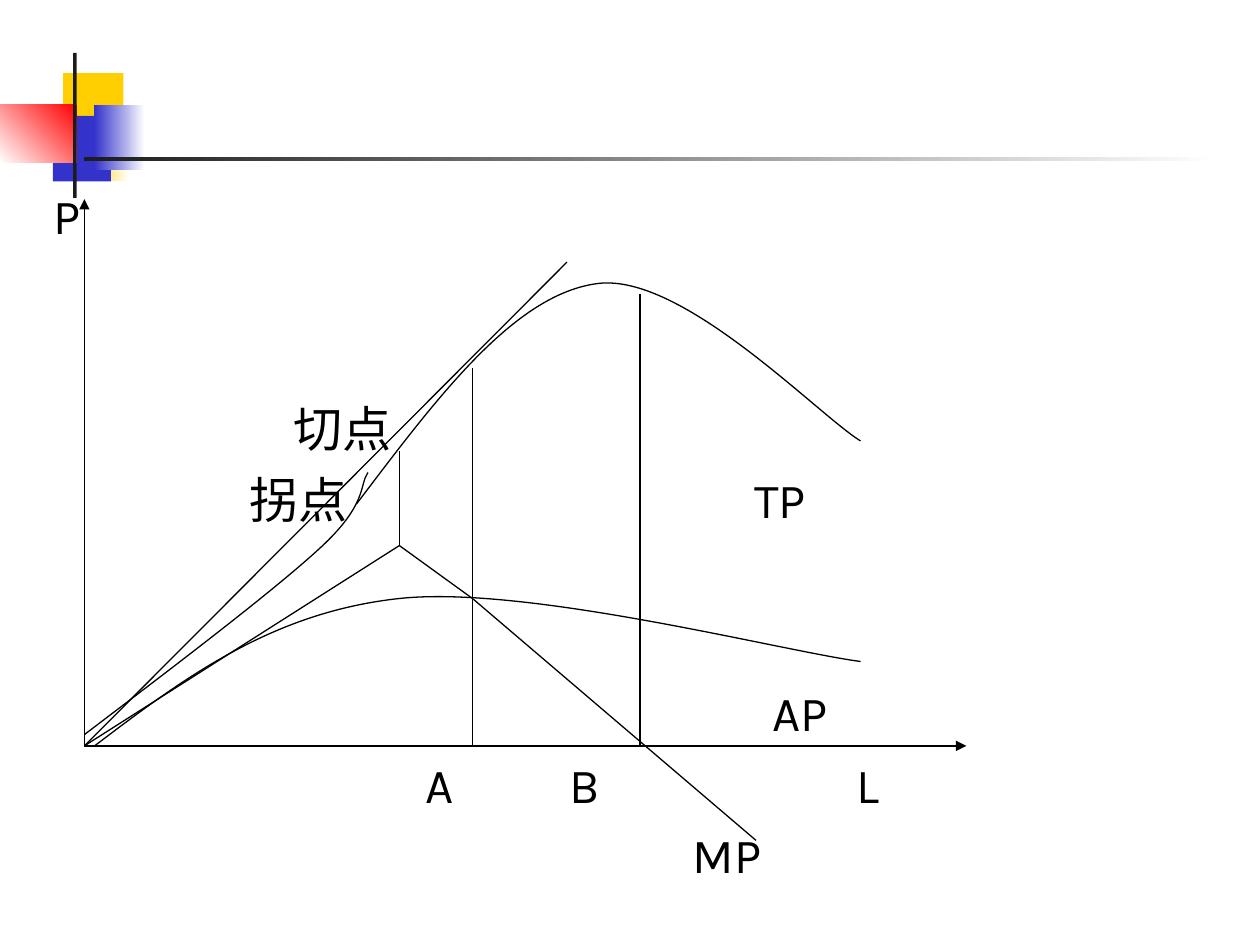
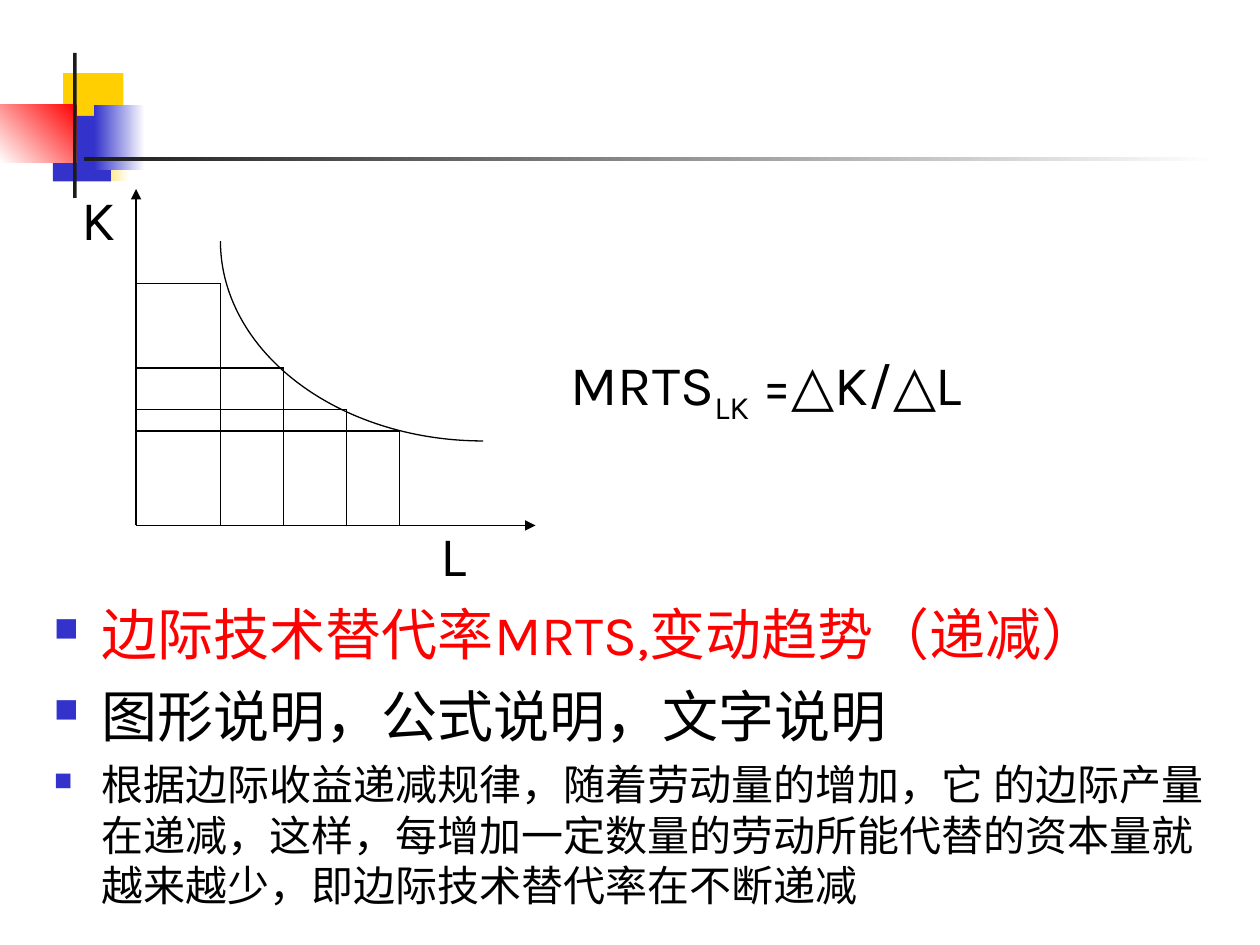
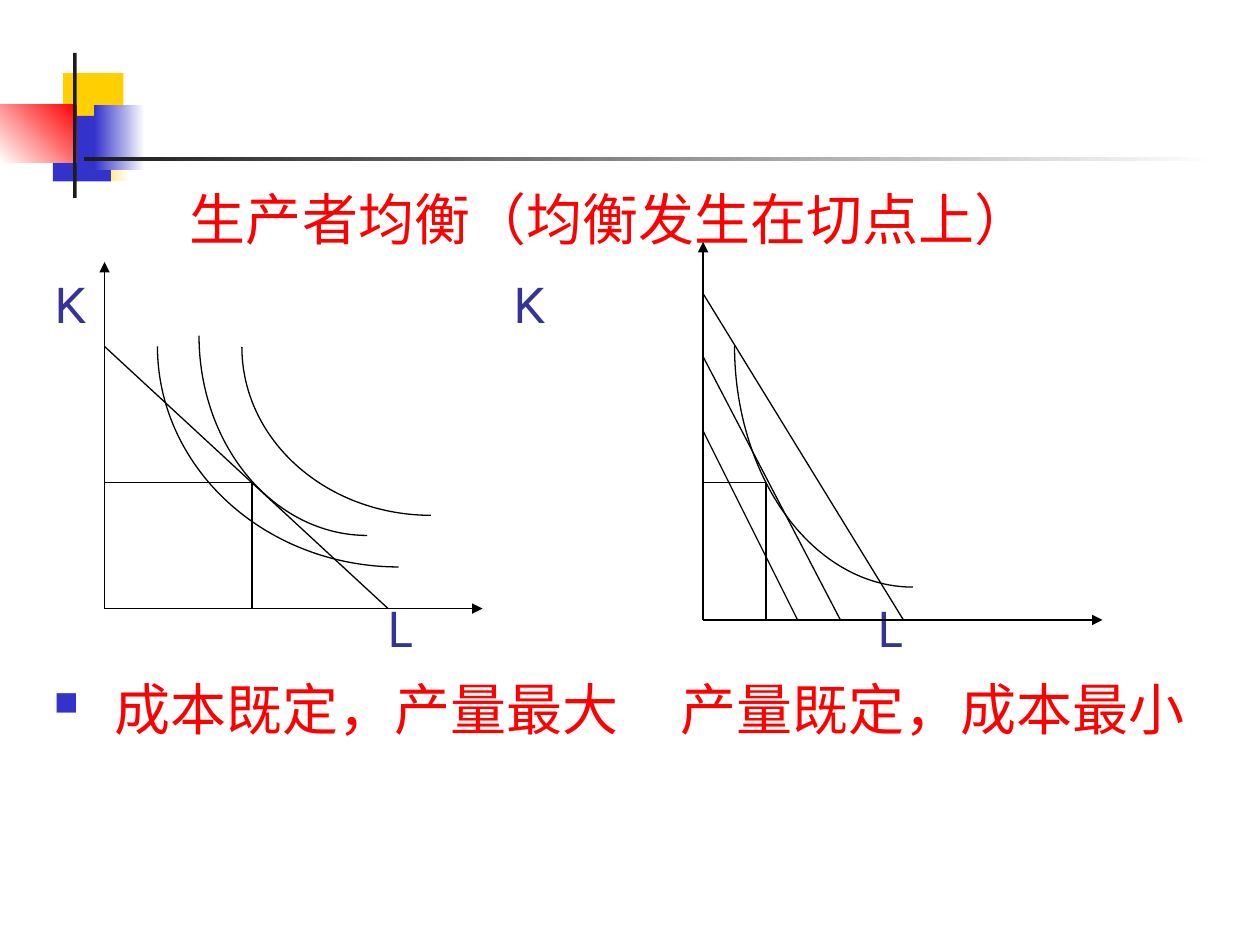
import pptx
import pptx.dml.color
import pptx.enum.shapes
import pptx.oxml.ns
import pptx.util
from lxml import etree

Inches = pptx.util.Inches
Pt = pptx.util.Pt
qn = pptx.oxml.ns.qn
SHAPE = pptx.enum.shapes.MSO_SHAPE

COLORS = {
    "black": "000000",
    "white": "FFFFFF",
    "ink": "1C1C1C",
    "red": "FF0000",
    "blue": "3333CC",
    "navy": "333399",
    "yellow": "FFCF01",
}
FONT = "Karla"
LINE_WIDTH = 0.75
ASCENT = 0.985
INSET_X, INSET_Y = 0.1, 0.05


def rgb(name):
    return pptx.dml.color.RGBColor.from_string(COLORS[name])


def add_band(slide, box, start, end=None, angle=180):
    sp = slide.shapes.add_shape(SHAPE.RECTANGLE, *map(Inches, box))
    sp.shadow.inherit = False
    sp.line.fill.background()
    if end is None:
        sp.fill.solid()
        sp.fill.fore_color.rgb = rgb(start)
    else:
        sp.fill.gradient()
        sp.fill.gradient_angle = angle
        for stop, color in zip(sp.fill.gradient_stops, (start, end)):
            stop.color.rgb = rgb(color)
    return sp


def decorate_layout(layout, slide):
    for ph in list(layout.placeholders):
        layout.shapes.element.remove(ph.element)
    bands = [
        add_band(slide, (0.5, 0.58, 0.48, 0.52), "yellow"),
        add_band(slide, (0.67, 0.92, 0.36, 0.52), "white", "yellow"),
        add_band(slide, (0.42, 0.92, 0.46, 0.52), "blue"),
        add_band(slide, (0.75, 0.83, 0.4, 0.52), "white", "blue"),
        add_band(slide, (0, 0.83, 0.61, 0.46), "red", "white", 225),
        add_band(slide, (0.58, 0.42, 0.03, 1.15), "ink"),
        add_band(slide, (0.67, 1.25, 9, 0.03), "white", "ink"),
    ]
    for sp in bands:
        layout.shapes.element.append(sp.element)


def style_line(sp):
    sp.line.width = Pt(LINE_WIDTH)
    sp.line.color.rgb = rgb("black")


def add_line(slide, start, end, arrow=False):
    c = slide.shapes.add_connector(
        pptx.enum.shapes.MSO_CONNECTOR.STRAIGHT, *map(Inches, start + end))
    style_line(c)
    if arrow:
        etree.SubElement(c.line._get_or_add_ln(), qn("a:tailEnd"), type="triangle")
    etree.SubElement(c.element.spPr, qn("a:effectLst"))


def add_axes(slide, origin, x_end, y_end):
    x, y = origin
    add_line(slide, origin, (x_end, y), arrow=True)
    add_line(slide, origin, (x, y_end), arrow=True)


def add_guides(slide, origin, point):
    add_line(slide, point, (origin[0], point[1]))
    add_line(slide, point, (point[0], origin[1]))


def add_curve(slide, *points):
    pts = [(Inches(x), Inches(y)) for x, y in points]
    fb = slide.shapes.build_freeform(*pts[0])
    fb.add_line_segments(pts[1:], close=False)
    sp = fb.convert_to_shape()
    segments = sp.element.spPr.findall(".//" + qn("a:lnTo"))
    for i in range(0, len(segments), 3):
        bezier = etree.SubElement(segments[i].getparent(), qn("a:cubicBezTo"))
        for seg in segments[i:i + 3]:
            bezier.append(seg[0])
            seg.getparent().remove(seg)
    sp.fill.background()
    style_line(sp)
    sp.shadow.inherit = False


def add_isoquant(slide, left, top, width, height):
    sp = slide.shapes.add_shape(
        SHAPE.ARC, *map(Inches, (left, top, width, height)))
    for i, degrees in enumerate((90, 180)):
        sp.adjustments[i] = degrees * 0.6
    sp.fill.background()
    style_line(sp)
    sp.shadow.inherit = False


def add_textbox(slide, x, baseline, width, height, size):
    top = baseline - ASCENT * size / 72 - INSET_Y
    tb = slide.shapes.add_textbox(
        *map(Inches, (x - INSET_X, top, width, height)))
    tf = tb.text_frame
    tf.word_wrap = True
    return tf


def add_run(p, text, size, color="black", baseline=0):
    r = p.add_run()
    r.text = text
    r.font.name = FONT
    r.font.size = Pt(size)
    r.font.color.rgb = rgb(color)
    if baseline:
        r._r.get_or_add_rPr().set("baseline", str(baseline * 1000))


def add_label(slide, x, baseline, text, size=32, color="black"):
    em = size / 72
    tf = add_textbox(slide, x, baseline, 2 * INSET_X + 1.05 * em * len(text),
                     2 * INSET_Y + 1.2 * em, size)
    add_run(tf.paragraphs[0], text, size, color)


def set_bullet(p, indent):
    pPr = p._p.get_or_add_pPr()
    pPr.set("marL", str(Inches(indent)))
    pPr.set("indent", str(-Inches(indent)))
    clr = etree.SubElement(pPr, qn("a:buClr"))
    etree.SubElement(clr, qn("a:srgbClr"), val=COLORS["blue"])
    etree.SubElement(pPr, qn("a:buSzPct"), val="60000")
    etree.SubElement(pPr, qn("a:buChar"), char="■")


def add_bullets(slide, baseline, width, height, items, indent=0.38):
    tf = add_textbox(slide, 0.43, baseline, width, height, items[0][1])
    for i, (text, size, color) in enumerate(items):
        p = tf.add_paragraph() if i else tf.paragraphs[0]
        p.space_before = Pt(size // 4)
        set_bullet(p, indent)
        add_run(p, text, size, color)


def build_product_curves(slide):
    for x, baseline, text in (
            (0.43, 1.86, "P"), (2.33, 3.55, "切点"), (1.98, 4.11, "拐点"),
            (5.99, 4.11, "TP"), (6.13, 5.8, "AP"), (3.38, 6.37, "A"),
            (4.52, 6.37, "B"), (6.8, 6.37, "L"), (5.5, 6.93, "MP")):
        add_label(slide, x, baseline, text, 28)

    origin = (0.67, 5.92)
    inflection, peak = (3.17, 4.33), (3.75, 4.75)
    add_axes(slide, origin, 7.67, 1.58)
    add_curve(slide, (0.67, 5.83), (1.42, 5.26), (2.17, 4.69), (2.54, 4.35),
              (2.92, 4), (2.85, 3.85), (2.92, 3.75))
    add_curve(slide, (2.83, 4), (3.46, 3.17), (4.08, 2.33), (4.75, 2.25),
              (5.42, 2.17), (6.49, 3.29), (6.83, 3.5))
    add_curve(slide, (0.75, 5.92), (1.45, 5.39), (2.15, 4.86), (3.17, 4.75),
              (4.18, 4.64), (6.22, 5.17), (6.83, 5.25))
    for start, end in (
            (origin, (4.5, 2.08)),
            ((3.75, 2.92), (3.75, origin[1])),
            ((5.08, 2.33), (5.08, origin[1])),
            (peak, (6, 6.67)),
            (peak, inflection),
            (inflection, origin),
            ((3.17, 3.58), inflection)):
        add_line(slide, start, end)


def build_substitution(slide):
    add_label(slide, 0.65, 1.9, "K")
    add_label(slide, 3.5, 4.57, "L")
    p = add_textbox(slide, 4.53, 3.21, 4.5, 0.65, 32).paragraphs[0]
    add_run(p, "MRTS", 32)
    add_run(p, "LK", 32, baseline=-25)
    add_run(p, " =△K/△L", 32)
    add_bullets(slide, 5.2, 9.46, 2.75, (
        ("边际技术替代率MRTS,变动趋势（递减）", 32, "red"),
        ("图形说明，公式说明，文字说明", 32, "black"),
        ("根据边际收益递减规律，随着劳动量的增加，它 的边际产量在递减，"
         "这样，每增加一定数量的劳动所能代替的资本量就越来越少，"
         "即边际技术替代率在不断递减", 24, "black")))

    origin = (1.08, 4.17)
    add_axes(slide, origin, 4.25, 1.5)
    add_isoquant(slide, 1.75, 0.33, 4.17, 3.17)
    for point in ((1.75, 2.25), (2.25, 2.92), (2.75, 3.25), (3.17, 3.42)):
        add_guides(slide, origin, point)


def build_equilibrium(slide):
    add_label(slide, 1.51, 1.9, "生产者均衡（均衡发生在切点上）", color="red")
    for x, baseline, text in ((0.43, 2.56, "K"), (4.07, 2.56, "K"),
                              (3.07, 5.13, "L"), (6.96, 5.13, "L")):
        add_label(slide, x, baseline, text, color="navy")
    add_bullets(slide, 5.79, 4.9, 0.65,
                (("成本既定，产量最大", 32, "red"),), indent=0.48)
    add_label(slide, 5.4, 5.79, "产量既定，成本最小", color="red")

    origin = (0.83, 4.83)
    add_axes(slide, origin, 3.83, 2.08)
    for box in ((1.25, 1, 3.83, 3.5), (1.58, 1.08, 2.67, 3.17),
                (1.92, 1.42, 3, 2.67)):
        add_isoquant(slide, *box)
    add_line(slide, (origin[0], 2.75), (3.08, origin[1]))
    add_guides(slide, origin, (2, 3.83))

    origin = (5.58, 4.92)
    add_axes(slide, origin, 8.75, 1.92)
    add_isoquant(slide, 5.83, 0.83, 2.83, 3.83)
    for y, x in ((2.33, 7.17), (2.83, 6.67), (3.42, 6.33)):
        add_line(slide, (origin[0], y), (x, origin[1]))
    add_guides(slide, origin, (6.08, 3.83))


def main():
    prs = pptx.Presentation()
    prs.slide_width, prs.slide_height = Inches(10), Inches(7.5)
    layout = prs.slide_layouts[6]
    builders = (build_product_curves, build_substitution, build_equilibrium)
    slides = [prs.slides.add_slide(layout) for _ in builders]
    decorate_layout(layout, slides[0])
    for build, slide in zip(builders, slides):
        build(slide)
    prs.save("out.pptx")


main()
